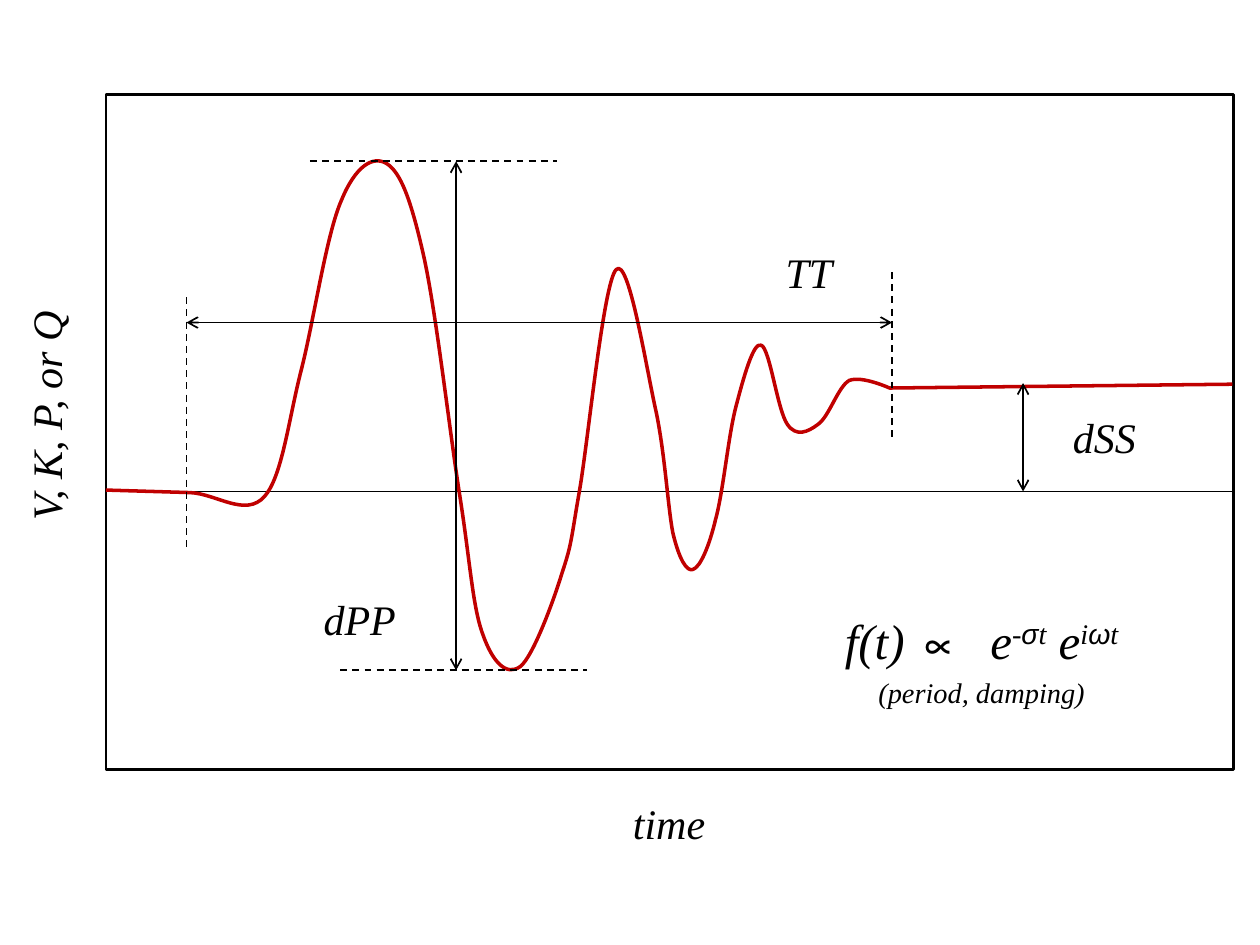
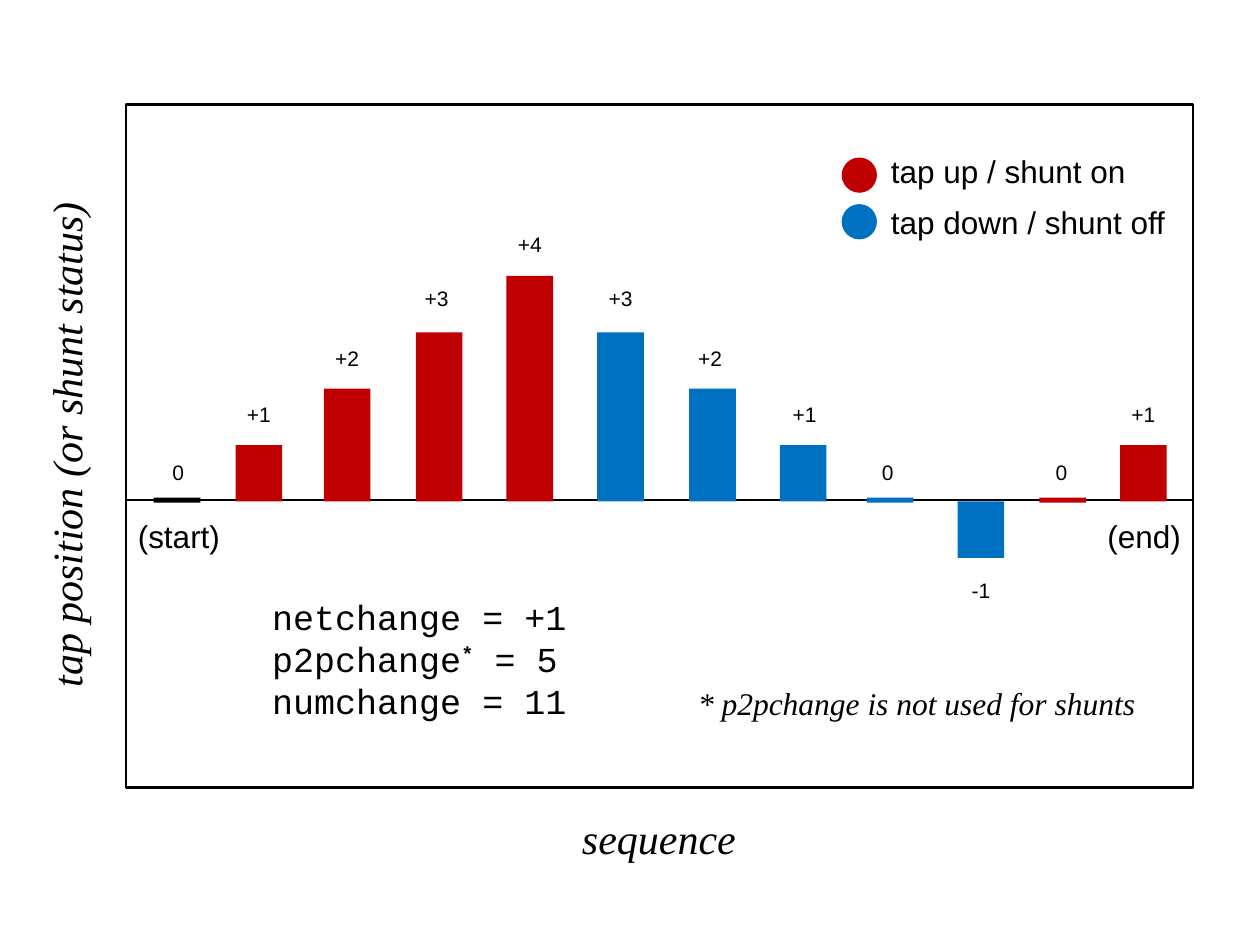
"""Build two diagram slides: a damped oscillation and a tap position sequence."""
import lxml.etree
import pptx
import pptx.dml.color
import pptx.enum.dml
import pptx.enum.shapes
import pptx.enum.text
import pptx.oxml.ns
import pptx.util

Inches = pptx.util.Inches
Pt = pptx.util.Pt
RGB = pptx.dml.color.RGBColor
Shape = pptx.enum.shapes.MSO_SHAPE
Align = pptx.enum.text.PP_ALIGN
qn = pptx.oxml.ns.qn


class Theme:
    ink = RGB.from_string("000000")
    red = RGB.from_string("C00000")
    blue = RGB.from_string("0070C0")
    serif, sans, mono = "Times New Roman", "Arial", "Courier New"
    formula, axis, code, note, label = 28, 24, 20, 18, 12
    thin, frame, curve = 1, 1.5, 2


def add_text(s, box, lines, size=Theme.axis, font=Theme.serif, align=Align.CENTER,
             rotation=0, wrap=True):
    """Add a text box; a line is a string or a list of (text, baseline, font, spacing) runs."""
    sp = s.shapes.add_textbox(*map(Inches, box))
    sp.rotation = rotation
    tf = sp.text_frame
    tf.word_wrap = wrap
    tf.auto_size = pptx.enum.text.MSO_AUTO_SIZE.SHAPE_TO_FIT_TEXT
    tf.vertical_anchor = pptx.enum.text.MSO_ANCHOR.MIDDLE
    tf.margin_left = tf.margin_right = tf.margin_top = tf.margin_bottom = 0
    for i, line in enumerate(lines):
        p = tf.add_paragraph() if i else tf.paragraphs[0]
        p.alignment = align
        runs = [(line, 0, font, 0)] if isinstance(line, str) else line
        for text, baseline, face, spacing in runs:
            r = p.add_run()
            r.text = text
            r.font.name = face
            r.font.size = Pt(size)
            r.font.italic = font == Theme.serif
            r.font.bold = text == "*"
            r.font.color.rgb = Theme.ink
            if baseline:
                r.font._element.set("baseline", str(baseline * 1000))
            if spacing:
                r.font._element.set("spc", str(spacing * 100))


def add_line(s, x1, y1, x2, y2, dashed=False, arrows=False):
    """Add a thin straight line, dashed or with an arrowhead at both ends."""
    sp = s.shapes.add_connector(pptx.enum.shapes.MSO_CONNECTOR.STRAIGHT,
                                *map(Inches, (x1, y1, x2, y2)))
    sp.line.color.rgb = Theme.ink
    sp.line.width = Pt(Theme.thin)
    if dashed:
        sp.line.dash_style = pptx.enum.dml.MSO_LINE.DASH
    spPr = sp._element.spPr
    if arrows:
        for end in ("a:headEnd", "a:tailEnd"):
            lxml.etree.SubElement(spPr.find(qn("a:ln")), qn(end), type="arrow")
    lxml.etree.SubElement(spPr, qn("a:effectLst"))


prs = pptx.Presentation()
prs.slide_width, prs.slide_height = Inches(10), Inches(7.5)

plots = [
    ((0.84, 0.75, 8.95, 5.36), 3.9, 9.78, "time", (4.82, 6.33, 0.98, 0.4),
     "V, K, P, or Q", (-1.05, 3.1, 2.82, 0.4)),
    ((1, 0.83, 8.47, 5.42), 3.97, 9.47, "sequence", (4.13, 6.45, 2.2, 0.4),
     "tap position (or shunt status)", (-1.79, 3.33, 4.62, 0.4)),
]
for frame, zero, right, x_title, x_box, y_title, y_box in plots:
    s = prs.slides.add_slide(prs.slide_layouts[6])
    sp = s.shapes.add_shape(Shape.RECTANGLE, *map(Inches, frame))
    sp.shadow.inherit = False
    sp.fill.background()
    sp.line.color.rgb = Theme.ink
    sp.line.width = Pt(Theme.frame)
    add_line(s, frame[0], zero, right, zero)
    add_text(s, x_box, [x_title])
    add_text(s, y_box, [y_title], rotation=270)
wave, taps = prs.slides

curves = [
    (1.72, 3.92, 1.95, 4.11, 2.1, 3.94), (2.24, 3.78, 2.29, 3.33, 2.39, 2.94),
    (2.49, 2.55, 2.59, 1.86, 2.71, 1.59), (2.82, 1.32, 2.96, 1.23, 3.07, 1.3),
    (3.18, 1.37, 3.26, 1.58, 3.36, 2.02), (3.46, 2.46, 3.57, 3.44, 3.65, 3.94),
    (3.73, 4.45, 3.75, 4.81, 3.83, 5.03), (3.91, 5.26, 4.02, 5.37, 4.13, 5.29),
    (4.23, 5.21, 4.39, 4.78, 4.46, 4.55), (4.54, 4.31, 4.53, 4.29, 4.6, 3.89),
    (4.67, 3.48, 4.79, 2.24, 4.89, 2.14), (4.99, 2.03, 5.13, 2.93, 5.21, 3.28),
    (5.28, 3.63, 5.3, 4.02, 5.34, 4.23), (5.39, 4.44, 5.45, 4.54, 5.5, 4.52),
    (5.56, 4.5, 5.63, 4.33, 5.68, 4.12), (5.74, 3.9, 5.78, 3.46, 5.84, 3.23),
    (5.9, 3, 5.98, 2.71, 6.04, 2.74), (6.11, 2.76, 6.17, 3.26, 6.25, 3.37),
    (6.32, 3.47, 6.41, 3.43, 6.49, 3.37), (6.58, 3.31, 6.65, 3.07, 6.74, 3.02),
    (6.84, 2.98, 7.06, 3.08, 7.06, 3.08),
]
left, top, right, bottom = 0.84, 1.28, 9.79, 5.32
builder = wave.shapes.build_freeform(Inches(left), Inches(top))
builder.add_line_segments([(Inches(right), Inches(bottom))], close=False)
sp = builder.convert_to_shape()
sp.shadow.inherit = False
sp.fill.background()
sp.line.color.rgb = Theme.red
sp.line.width = Pt(Theme.curve)
outline = sp._element.find(".//" + qn("a:path"))
for segment in list(outline):
    outline.remove(segment)
segments = [("a:moveTo", (0.84, 3.89)), ("a:lnTo", (1.51, 3.91))]
segments += [("a:cubicBezTo", curve) for curve in curves]
segments.append(("a:lnTo", (9.78, 3.05)))
for tag, coords in segments:
    segment = lxml.etree.SubElement(outline, qn(tag))
    for x, y in zip(coords[::2], coords[1::2]):
        lxml.etree.SubElement(segment, qn("a:pt"),
                              x=str(Inches(x) - Inches(left)), y=str(Inches(y) - Inches(top)))

for ends in [(2.46, 1.28, 4.42, 1.28), (2.7, 5.32, 4.66, 5.32),
             (7.08, 2.16, 7.08, 3.47), (1.48, 2.36, 1.48, 4.34)]:
    add_line(wave, *ends, dashed=True)
for ends in [(8.12, 3.04, 8.12, 3.9), (3.62, 1.28, 3.62, 5.32), (7.08, 2.56, 1.48, 2.56)]:
    add_line(wave, *ends, arrows=True)
for text, x, y, width in [("dSS", 8.26, 3.27, 1.01), ("dPP", 2.35, 4.71, 1.01),
                          ("TT", 6.04, 1.96, 0.76)]:
    add_text(wave, (x, y, width, 0.4), [text])

formula = [("f(t) ∝", 0, Theme.serif, 0), (" ", 0, Theme.serif, 7), ("e", 0, Theme.serif, 0),
           ("-", 30, Theme.serif, 0), ("σ", 30, Theme.sans, 0), ("t", 30, Theme.serif, 0),
           (" e", 0, Theme.serif, 0), ("i", 30, Theme.serif, 0), ("ω", 30, Theme.sans, 0),
           ("t", 30, Theme.serif, 0)]
caption = [("(period, damping)", 30, Theme.serif, 0)]
add_text(wave, (6.4, 4.84, 2.78, 0.94), [formula, caption], Theme.formula)

zero, unit, bar_width, flat = 3.98, 1.79 / 4, 0.37, 0.04
label_tops = {-1: 4.58, 0: 3.65, 1: 3.19, 2: 2.74, 3: 2.27, 4: 1.84}
bars = [(1.22, 1.32, 0, Theme.ink), (1.87, 1.96, 1, Theme.red), (2.57, 2.66, 2, Theme.red),
        (3.3, 3.37, 3, Theme.red), (4.02, 4.11, 4, Theme.red), (4.74, 4.83, 3, Theme.blue),
        (5.47, 5.54, 2, Theme.blue), (6.19, 6.29, 1, Theme.blue), (6.88, 6.95, 0, Theme.blue),
        (7.6, 7.69, -1, Theme.blue), (8.25, 8.33, 0, Theme.red), (8.89, 8.98, 1, Theme.red)]
marks = []
for x, label_x, tap, color in bars:
    bar_top = zero - unit * max(tap, 0) if tap else zero - 0.03
    marks.append((Shape.RECTANGLE, (x, bar_top, bar_width, unit * abs(tap) or flat), color))
    add_text(taps, (label_x, label_tops[tap], 0.19, 0.2), [f"{tap:+d}" if tap else "0"],
             Theme.label, Theme.sans, wrap=False)

legend = [("tap up / shunt on", 1.25, 1.21, 2.09, Theme.red),
          ("tap down / shunt off", 1.62, 1.61, 2.36, Theme.blue)]
for text, dot_top, text_top, width, color in legend:
    marks.append((Shape.OVAL, (6.68, dot_top, 0.28, 0.28), color))
    add_text(taps, (7.07, text_top, width, 0.3), [text], Theme.note, Theme.sans, Align.LEFT)
for kind, box, color in marks:
    sp = taps.shapes.add_shape(kind, *map(Inches, box))
    sp.shadow.inherit = False
    sp.fill.solid()
    sp.fill.fore_color.rgb = color
    sp.line.fill.background()

for text, x in [("(start)", 1.03), ("(end)", 8.69)]:
    add_text(taps, (x, 4.1, 0.78, 0.3), [text], Theme.note, Theme.sans)
p2p = [("p2pchange", 0, Theme.mono, 0), ("*", 30, Theme.mono, 0), (" = 5", 0, Theme.mono, 0)]
add_text(taps, (2.16, 4.72, 2.36, 1.01), ["netchange = +1", p2p, "numchange = 11"],
         Theme.code, Theme.mono, Align.LEFT, wrap=False)
add_text(taps, (5.54, 5.43, 3.56, 0.3), ["* p2pchange is not used for shunts"],
         Theme.note, align=Align.LEFT)

prs.save("out.pptx")
